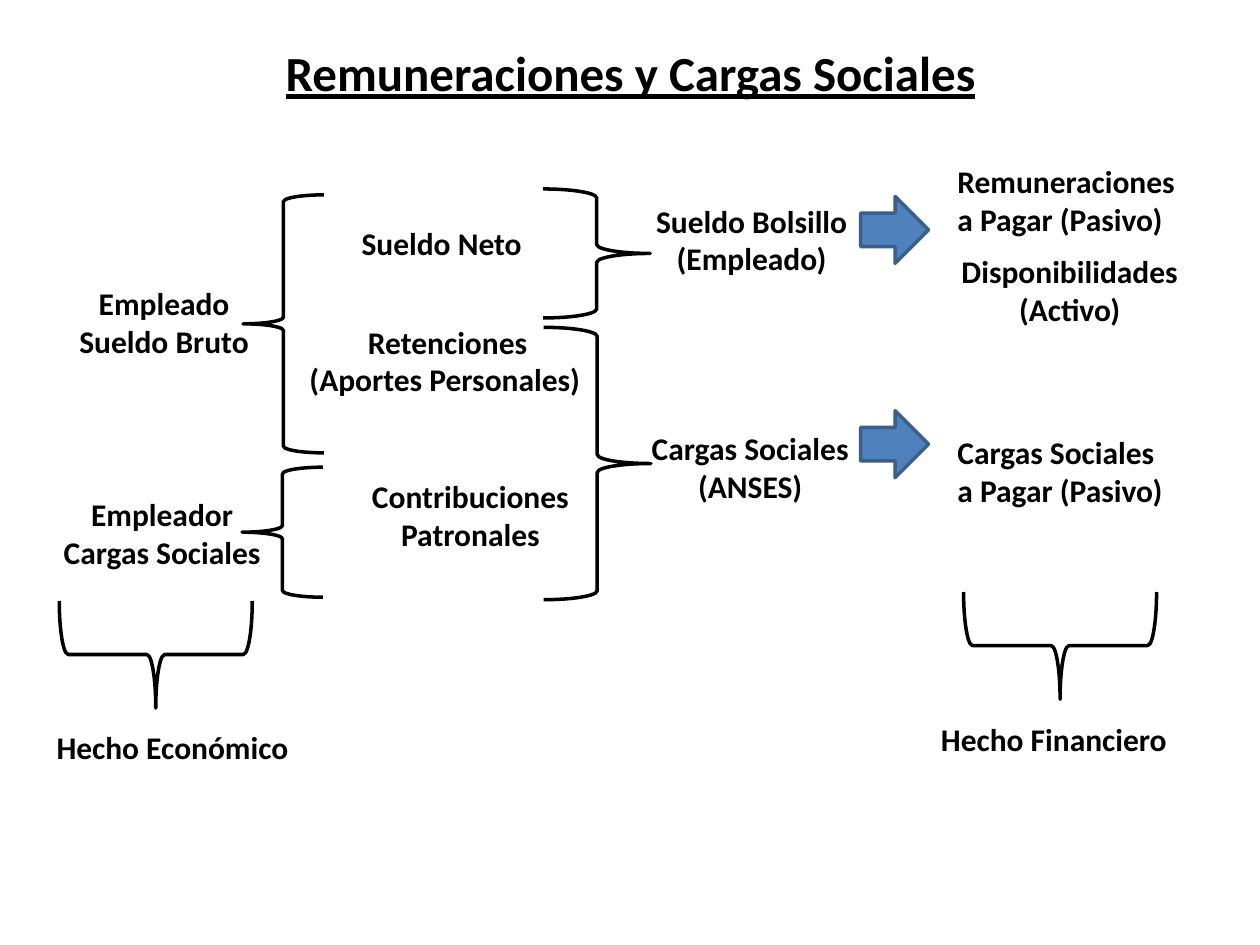
"""Build the slide on wages and social charges."""
from pptx import Presentation
from pptx.dml.color import RGBColor
from pptx.enum.shapes import MSO_SHAPE as SHAPE
from pptx.enum.text import MSO_AUTO_SIZE as AUTO, PP_ALIGN as ALIGN
from pptx.util import Cm, Pt

BLACK = RGBColor(0x00, 0x00, 0x00)
BLUE = RGBColor(0x4F, 0x81, 0xBD)
DARK_BLUE = RGBColor(0x3A, 0x5F, 0x8C)
C, L = ALIGN.CENTER, ALIGN.LEFT

prs = Presentation()
prs.slide_width, prs.slide_height = Cm(25.4), Cm(19.05)
s = prs.slides.add_slide(prs.slide_layouts[6])


def add_text(x, y, w, h, paragraphs, size=18, underline=None):
    tb = s.shapes.add_textbox(Cm(x), Cm(y), Cm(w), Cm(h))
    tf = tb.text_frame
    tf.word_wrap = True
    tf.auto_size = AUTO.SHAPE_TO_FIT_TEXT
    for i, (text, align) in enumerate(paragraphs):
        p = tf.add_paragraph() if i else tf.paragraphs[0]
        p.alignment = align
        r = p.add_run()
        r.text = text
        r.font.name, r.font.size, r.font.bold = "Calibri", Pt(size), True
        r.font.underline = underline
        r.font.color.rgb = BLACK


def add_outline(kind, x, y, w, h, color, rotation=0):
    sp = s.shapes.add_shape(kind, Cm(x), Cm(y), Cm(w), Cm(h))
    sp.shadow.inherit = False
    sp.fill.background()
    sp.line.color.rgb = color
    sp.line.width = Pt(2)
    sp.rotation = rotation
    return sp


add_text(2.11, 0.74, 21.2, 1.45, [("Remuneraciones y Cargas Sociales", C)], 28, True)

braces = [
    (SHAPE.RIGHT_BRACE, 10.95, 3.81, 2.16, 2.6, 0),
    (SHAPE.LEFT_BRACE, 4.9, 3.93, 1.63, 5.2, 0),
    (SHAPE.RIGHT_BRACE, 10.96, 6.6, 2.16, 5.49, 0),
    (SHAPE.LEFT_BRACE, 4.88, 9.42, 1.63, 2.62, 0),
    (SHAPE.RIGHT_BRACE, 2.06, 11.25, 2.16, 3.89, 90),
    (SHAPE.RIGHT_BRACE, 20.29, 11.07, 2.16, 3.89, 90),
]
for kind, x, y, w, h, rotation in braces:
    add_outline(kind, x, y, w, h, BLACK, rotation)

for y in (3.96, 8.28):
    sp = add_outline(SHAPE.RIGHT_ARROW, 17.35, y, 1.37, 1.35, DARK_BLUE)
    sp.fill.solid()
    sp.fill.fore_color.rgb = BLUE

labels = [
    (1.19, 5.61, 4.24, 2.57, [("Empleado Sueldo Bruto", C)]),
    (0.97, 9.86, 4.6, 1.8, [("Empleador Cargas Sociales", C)]),
    (7.04, 4.39, 4.24, 1.02, [("Sueldo Neto", L)]),
    (5.99, 6.38, 6.07, 2.57, [("Retenciones", C), ("(Aportes Personales)", L)]),
    (6.45, 9.5, 6.07, 2.57, [("Contribuciones Patronales", C)]),
    (12.12, 3.94, 6.07, 2.57, [("Sueldo Bolsillo", C), ("(Empleado)", C)]),
    (12.09, 8.53, 6.07, 2.57, [("Cargas Sociales", C), ("(ANSES)", C)]),
    (19.05, 3.15, 5.23, 1.8, [("Remuneraciones a Pagar (Pasivo)", L)]),
    (19.05, 4.95, 5.03, 1.8, [("Disponibilidades", C), ("(Activo)", C)]),
    (19.05, 8.61, 4.85, 1.8, [("Cargas Sociales a Pagar (Pasivo)", L)]),
    (0.89, 14.55, 5.56, 1.02, [("Hecho Económico", L)]),
    (18.72, 14.4, 5.18, 1.02, [("Hecho Financiero", L)]),
]
for x, y, w, h, paragraphs in labels:
    add_text(x, y, w, h, paragraphs)

prs.save("out.pptx")
